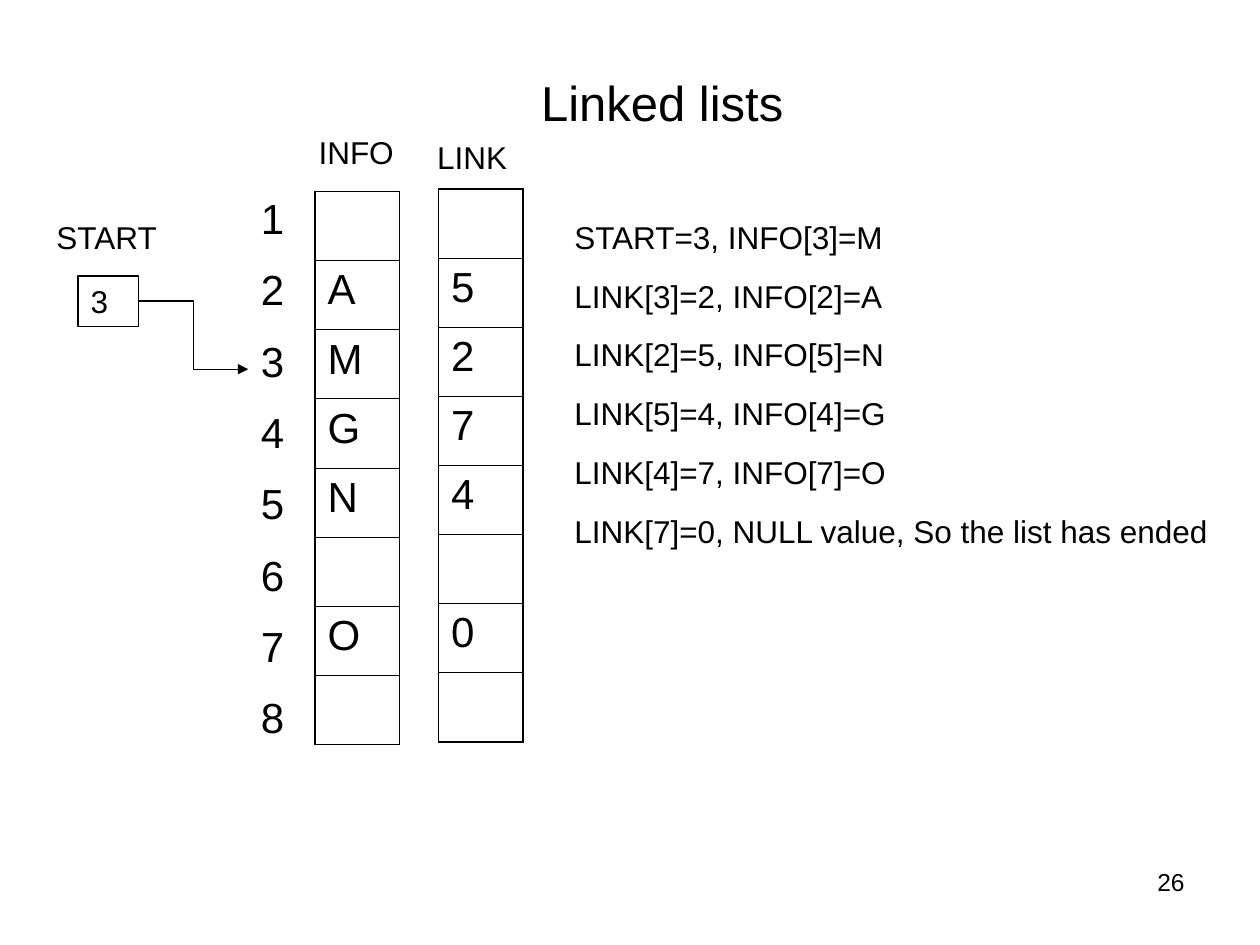
from lxml.etree import SubElement
from pptx import Presentation
from pptx.dml.color import RGBColor
from pptx.enum.shapes import MSO_CONNECTOR as Link, MSO_SHAPE as Shape
from pptx.enum.text import MSO_ANCHOR as Anchor, PP_ALIGN as Align
from pptx.oxml import parse_xml
from pptx.oxml.ns import nsdecls, qn
from pptx.util import Inches, Pt

COLORS = {"ink": "000000"}
INK = RGBColor.from_string(COLORS["ink"])
NO_STYLE = "{2D5ABB26-0587-4C30-8999-92F81FD0307C}"
OUTER, INNER = 1.08, 0.45

deck = Presentation()
deck.slide_width, deck.slide_height = Inches(10), Inches(7.5)
slide = deck.slides.add_slide(deck.slide_layouts[5])
shapes = slide.shapes

# Grid of 100 columns by 75 rows
COL, ROW = deck.slide_width // 100, deck.slide_height // 75


def place(left, top, width, height):
    return [round(n * unit) for n, unit in zip((left, top, width, height), (COL, ROW) * 2)]


def write(frame, lines, size, before=0, align=Align.LEFT):
    for number, line in enumerate(lines):
        paragraph = frame.add_paragraph() if number else frame.paragraphs[0]
        paragraph.text = line
        for name, value in {"alignment": align, "space_before": Pt(before)}.items():
            setattr(paragraph, name, value)
        for name, value in {"name": "Arial", "size": Pt(size)}.items():
            setattr(paragraph.font, name, value)
        paragraph.font.color.rgb = INK


# Title
title = shapes.title
title.left, title.top, title.width, title.height = place(26.7, 4.2, 51.7, 7.8)
title.text_frame.vertical_anchor = Anchor.MIDDLE
write(title.text_frame, ["Linked lists"], 28, align=Align.CENTER)

# Index numbers and the two arrays: place, values, ruled or not
arrays = [
    (place(19.7, 15.1, 4.6, 45.3), "1 2 3 4 5 6 7 8".split(), False),
    (place(25, 15.2, 6.7, 43.9), ["", "A", "M", "G", "N", "", "O", ""], True),
    (place(34.8, 15, 6.7, 43.9), ["", "5", "2", "7", "4", "", "0", ""], True),
]
for spot, values, ruled in arrays:
    table = shapes.add_table(len(values), 1, *spot).table
    for flag in ("first_row", "horz_banding"):
        setattr(table, flag, False)
    table._tbl.tblPr.find(qn("a:tableStyleId")).text = NO_STYLE
    last = len(values) - 1
    for index, value in enumerate(values):
        cell = table.cell(index, 0)
        write(cell.text_frame, [value], 24, before=6)
        if ruled:
            borders = {
                "L": OUTER,
                "R": OUTER,
                "T": INNER if index else OUTER,
                "B": INNER if index < last else OUTER,
            }
            for side, weight in borders.items():
                edge = SubElement(cell._tc.get_or_add_tcPr(), qn(f"a:ln{side}"), w=str(Pt(weight)))
                SubElement(SubElement(edge, qn("a:solidFill")), qn("a:srgbClr"), val=COLORS["ink"])
        cell.fill.background()

# Start pointer and its arrow to index 3
pointer = shapes.add_shape(Shape.RECTANGLE, *place(6.2, 21.9, 4.8, 4))
pointer.shadow.inherit = False
pointer.fill.background()
pointer.text_frame.vertical_anchor = Anchor.TOP
write(pointer.text_frame, ["3"], 18, before=12)

arrow = shapes.add_connector(Link.ELBOW, *place(11, 24, 19.7, 29.3))
arrow.begin_connect(pointer, 3)
for outlined in (pointer, arrow):
    outlined.line.color.rgb = INK
    outlined.line.width = Pt(0.75)
arrow.line._get_or_add_ln().append(parse_xml(f'<a:tailEnd {nsdecls("a")} type="triangle"/>'))
SubElement(arrow._element.spPr, qn("a:effectLst"))

# Labels, the walk through the list, and the page number
walk = [
    "START=3, INFO[3]=M",
    "LINK[3]=2, INFO[2]=A",
    "LINK[2]=5, INFO[5]=N",
    "LINK[5]=4, INFO[4]=G",
    "LINK[4]=7, INFO[7]=O",
    "LINK[7]=0, NULL value, So the list has ended",
]
texts = [
    (place(3.5, 16.8, 11.3, 4), ["START"], 18, 12, Align.LEFT),
    (place(44.6, 16.8, 53, 26.8), walk, 18, 12, Align.LEFT),
    (place(24.3, 10.1, 9.2, 4), ["INFO"], 18, 12, Align.LEFT),
    (place(33.7, 10.5, 9.2, 4), ["LINK"], 18, 12, Align.LEFT),
    (place(71.7, 68.3, 23.3, 5.2), ["26"], 14, 0, Align.RIGHT),
]
for spot, lines, size, before, align in texts:
    frame = shapes.add_textbox(*spot).text_frame
    frame.word_wrap = True
    write(frame, lines, size, before, align)

deck.save("out.pptx")
